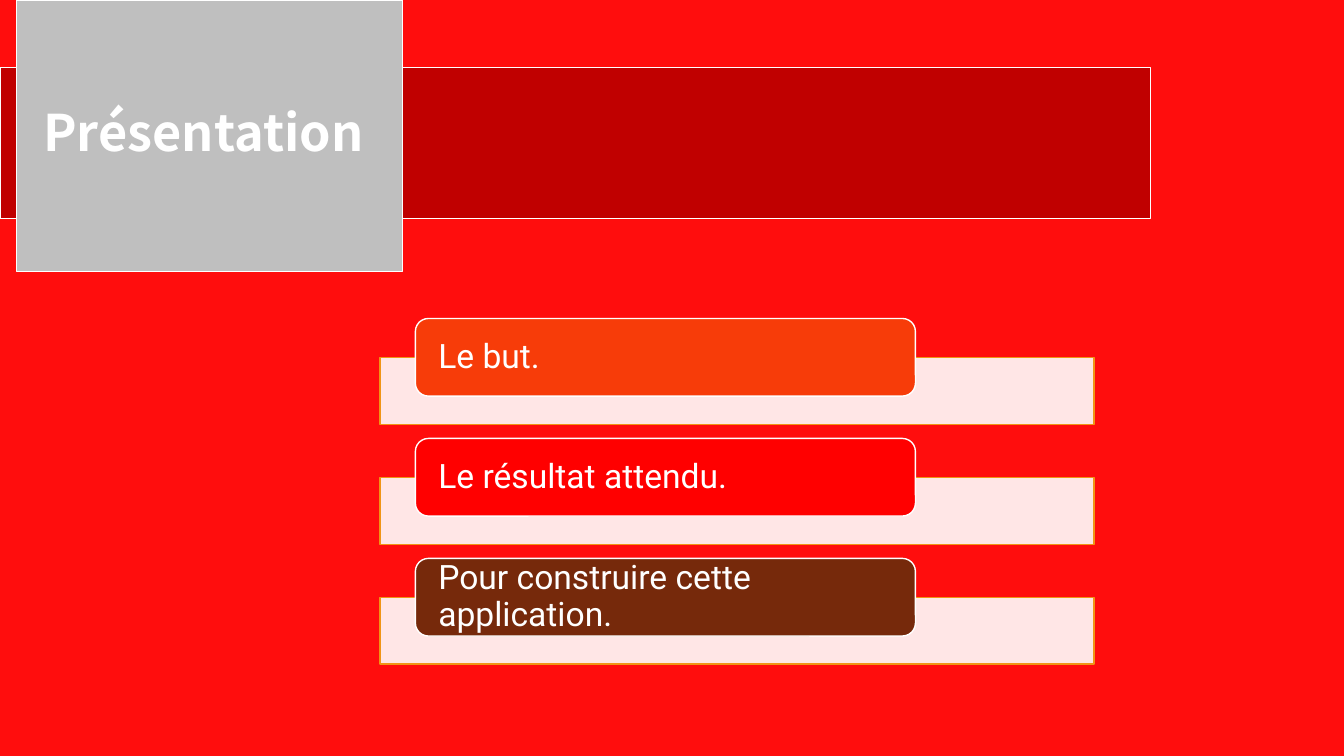
"""Build the red "Présentation" slide with its three staggered topics."""
from dataclasses import dataclass

from pptx import Presentation
from pptx.dml.color import RGBColor as Rgb
from pptx.enum.shapes import MSO_SHAPE as Preset
from pptx.enum.text import MSO_ANCHOR as Anchor, PP_ALIGN as Align
from pptx.shapes.autoshape import Shape
from pptx.slide import Slide
from pptx.util import Inches, Pt


@dataclass(frozen=True)
class Theme:
    """Colours, fonts and type sizes of the slide."""
    background: str = "FF0D0D"
    banner: str = "C00000"
    title_panel: str = "BFBFBF"
    strip: str = "FFE6E6"
    strip_line: str = "F09415"
    white: str = "FFFFFF"
    title_font: str = "Noto Sans CJK KR"
    topic_font: str = "Roboto"
    title_size: float = 36
    topic_size: float = 24


@dataclass(frozen=True)
class Box:
    """Place and size in inches."""
    left: float
    top: float
    width: float
    height: float


@dataclass(frozen=True)
class Topic:
    """One topic label and the colour of its pill."""
    label: str
    fill: str


THEME = Theme()
TOPICS = (
    Topic("Le but.", "F73C09"),
    Topic("Le résultat attendu.", "FF0000"),
    Topic("Pour construire cette application.", "76290B"),
)
FIRST_TOPIC_TOP = 3.16
TOPIC_STEP = 1.19
STRIP_DROP = 0.39


def add_panel(slide: Slide, preset: Preset, box: Box, fill: str,
              line: str = THEME.white, line_width: float = 1) -> Shape:
    """Draw a filled, outlined panel without a shadow."""
    panel = slide.shapes.add_shape(preset, Inches(box.left), Inches(box.top),
                                   Inches(box.width), Inches(box.height))
    panel.shadow.inherit = False
    panel.fill.solid()
    panel.fill.fore_color.rgb = Rgb.from_string(fill)
    panel.line.color.rgb = Rgb.from_string(line)
    panel.line.width = Pt(line_width)
    return panel


def write(panel: Shape, text: str, font: str, size: float, align: Align,
          bold: bool = False) -> None:
    """Write one vertically centred paragraph in a panel."""
    frame = panel.text_frame
    frame.word_wrap = True
    frame.vertical_anchor = Anchor.MIDDLE
    paragraph = frame.paragraphs[0]
    paragraph.text = text
    paragraph.alignment = align
    paragraph.line_spacing = 0.9
    paragraph.font.name = font
    paragraph.font.size = Pt(size)
    paragraph.font.bold = bold
    paragraph.font.color.rgb = Rgb.from_string(THEME.white)


def add_topic(slide: Slide, topic: Topic, top: float) -> None:
    """Draw a pale strip with the topic's pill over it."""
    add_panel(slide, Preset.RECTANGLE, Box(3.77, top + STRIP_DROP, 7.08, 0.66),
              THEME.strip, THEME.strip_line)
    pill = add_panel(slide, Preset.ROUNDED_RECTANGLE,
                     Box(4.12, top, 4.96, 0.77), topic.fill)
    frame = pill.text_frame
    frame.margin_left = frame.margin_right = Inches(0.19)
    frame.margin_top = frame.margin_bottom = 0
    write(pill, topic.label, THEME.topic_font, THEME.topic_size, Align.LEFT)


def main() -> None:
    """Build and save the slide."""
    deck = Presentation()
    deck.slide_width, deck.slide_height = Inches(13.33), Inches(7.5)
    slide = deck.slides.add_slide(deck.slide_layouts[6])
    slide.background.fill.solid()
    slide.background.fill.fore_color.rgb = Rgb.from_string(THEME.background)

    add_panel(slide, Preset.RECTANGLE, Box(0, 0.67, 11.41, 1.5), THEME.banner)
    title = add_panel(slide, Preset.RECTANGLE, Box(0.16, 0, 3.83, 2.69),
                      THEME.title_panel, line_width=0.75)
    write(title, "Présentation ", THEME.title_font, THEME.title_size,
          Align.CENTER, bold=True)
    for row, topic in enumerate(TOPICS):
        add_topic(slide, topic, FIRST_TOPIC_TOP + row * TOPIC_STEP)
    deck.save("out.pptx")


if __name__ == "__main__":
    main()
